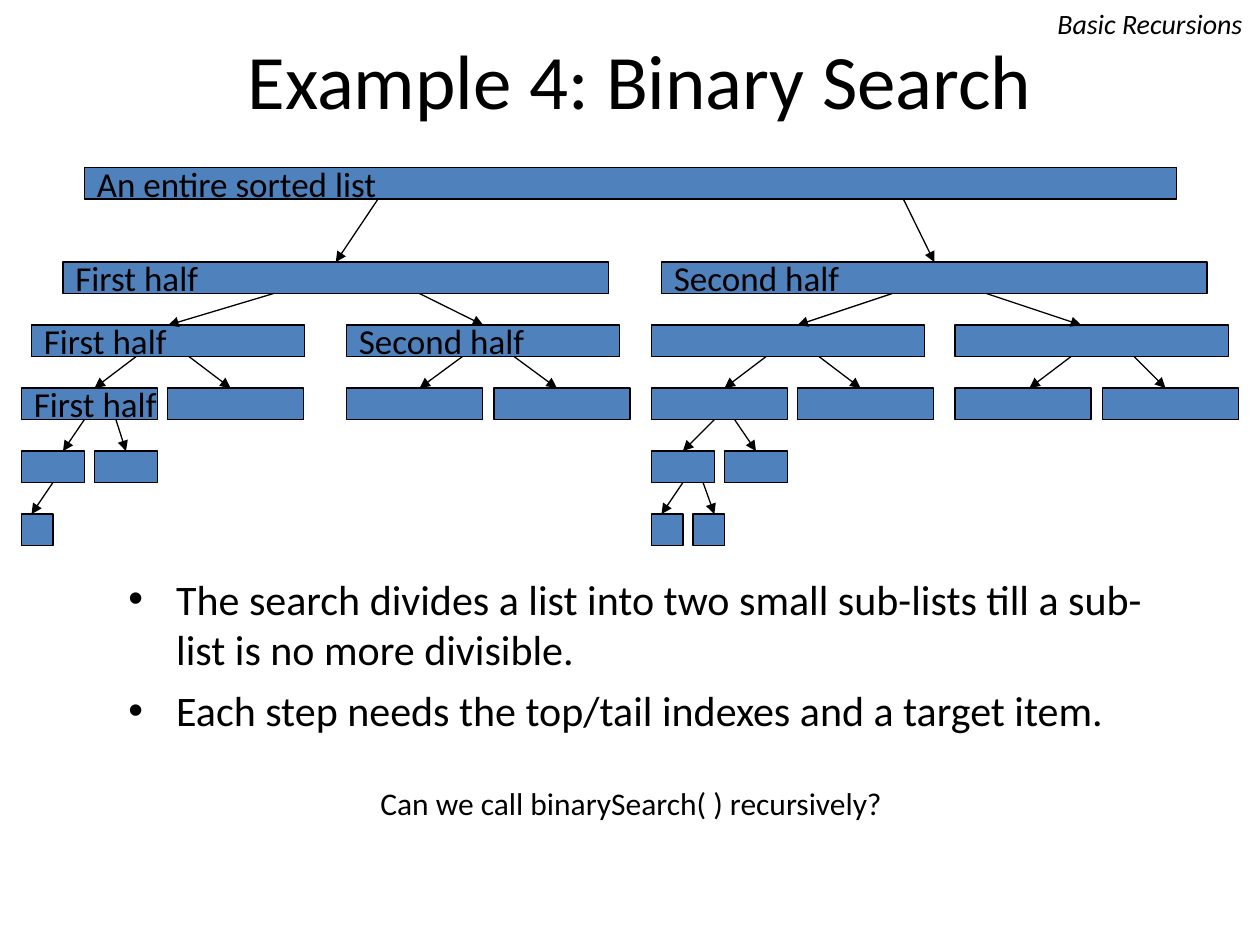
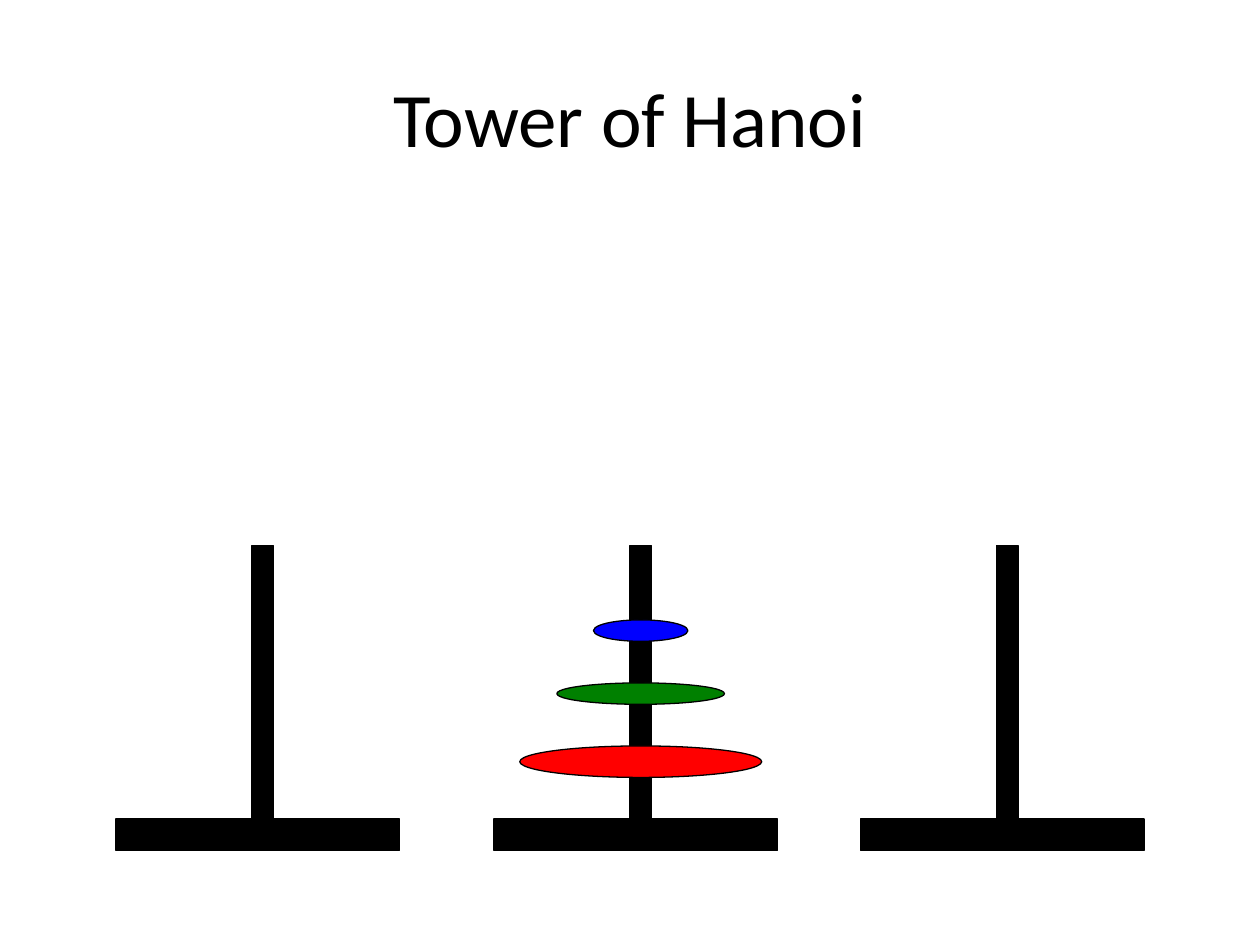
from dataclasses import dataclass
from typing import NamedTuple

from lxml import etree
from pptx import Presentation
from pptx.dml.color import RGBColor
from pptx.enum.shapes import MSO_CONNECTOR, MSO_SHAPE
from pptx.enum.text import MSO_ANCHOR, MSO_AUTO_SIZE, PP_ALIGN
from pptx.oxml.ns import qn
from pptx.util import Inches, Pt

RECTANGLE = MSO_SHAPE.RECTANGLE
OVAL = MSO_SHAPE.OVAL
STRAIGHT = MSO_CONNECTOR.STRAIGHT
LEFT, CENTER, RIGHT = PP_ALIGN.LEFT, PP_ALIGN.CENTER, PP_ALIGN.RIGHT
TOP, MIDDLE = MSO_ANCHOR.TOP, MSO_ANCHOR.MIDDLE
GROW = MSO_AUTO_SIZE.SHAPE_TO_FIT_TEXT
TOP_SIDE, BOTTOM_SIDE = 0, 2


@dataclass(frozen=True)
class Theme:
    """Colours, font and type sizes of the deck."""
    font: str = "Calibri"
    ink: str = "000000"
    bar: str = "4F81BD"
    disks: tuple = ("FF0000", "008000", "0000FF")
    title: int = 44
    body: int = 24
    label: int = 20
    question: int = 18
    topic: int = 16
    line: float = 0.75


THEME = Theme()


class Box(NamedTuple):
    """A rectangle on the page, in inches."""
    left: float
    top: float
    width: float
    height: float

    def inches(self):
        """Return the four measures as lengths."""
        return [Inches(value) for value in self]

    @property
    def middle(self):
        """Return the horizontal centre."""
        return self.left + self.width / 2


class Node(NamedTuple):
    """A sub-list: its left edge, its arrow's start and end, and its label."""
    left: float
    start: float = 0
    end: float = 0
    label: str = ""


BAR_HEIGHT = 0.25
JOIN_TOLERANCE = 0.02
SEARCH_LEVELS = [
    (0, 8.67, [Node(0.5, label="An entire sorted list")]),
    (0.75, 4.33, [Node(0.33, 2.83, 2.5, "First half"),
                  Node(5.08, 7, 7.25, "Second half")]),
    (1.25, 2.17, [Node(0.08, 2, 1.16, "First half"),
                  Node(2.58, 3.16, 3.66, "Second half"),
                  Node(5, 6.91, 6.16), Node(7.41, 7.66, 8.41)]),
    (1.75, 1.08, [Node(0, 0.91, 0.58, "First half"), Node(1.16, 1.33, 1.66),
                  Node(2.58, 3.5, 3.16), Node(3.75, 3.91, 4.25),
                  Node(5, 5.91, 5.58), Node(6.16, 6.33, 6.66),
                  Node(7.41, 8.33, 8), Node(8.58, 8.83, 9.08)]),
    (2.25, 0.5, [Node(0, 0.5, 0.33), Node(0.58, 0.75, 0.83),
                 Node(5, 5.5, 5.25), Node(5.58, 5.66, 5.83)]),
    (2.75, 0.25, [Node(0, 0.25, 0.08), Node(5, 5.25, 5.08),
                  Node(5.33, 5.41, 5.5)]),
]
SEARCH_POINTS = [
    "The search divides a list into two small sub-lists till a sub-list "
    "is no more divisible.",
    "Each step needs the top/tail indexes and a target item.",
]
PEG_LEFTS = [0, 3, 5.91]
POLE_OFFSET, POLE_WIDTH = 1.08, 0.17
BASE_WIDTH, BASE_HEIGHT = 2.25, 0.25
DISK_SIZES = [(1.92, 0.25), (1.33, 0.17), (0.75, 0.17)]
DISK_TOP, DISK_STEP = 1.59, 0.5


def style_text(paragraph, size, align=LEFT, italic=False):
    """Apply the deck's font to a paragraph and its runs."""
    paragraph.alignment = align
    for span in paragraph.runs:
        span.font.name = THEME.font
        span.font.size = Pt(size)
        span.font.italic = italic
        span.font.color.rgb = RGBColor.from_string(THEME.ink)


def add_text(page, box, text, size, align=LEFT, anchor=TOP, wrap=True,
             italic=False):
    """Add a text box whose paragraphs share one style."""
    shape = page.shapes.add_textbox(*box.inches())
    frame = shape.text_frame
    frame.word_wrap = wrap
    frame.vertical_anchor = anchor
    frame.text = text
    if not wrap:
        frame.auto_size = GROW
    for para in frame.paragraphs:
        style_text(para, size, align, italic)
    return shape


def add_title(page, box, text):
    """Add the centred slide title."""
    add_text(page, box, text, THEME.title, CENTER, MIDDLE)


def add_figure(shapes, kind, box, fill):
    """Add a filled shape with the deck's thin outline."""
    shape = shapes.add_shape(kind, *box.inches())
    shape.shadow.inherit = False
    shape.fill.solid()
    shape.fill.fore_color.rgb = RGBColor.from_string(fill)
    shape.line.color.rgb = RGBColor.from_string(THEME.ink)
    shape.line.width = Pt(THEME.line)
    return shape


def add_bar(page, box, label):
    """Add one sub-list bar with its optional label."""
    shape = add_figure(page.shapes, RECTANGLE, box, THEME.bar)
    if label:
        frame = shape.text_frame
        frame.text = label
        frame.word_wrap = False
        frame.vertical_anchor = MIDDLE
        style_text(frame.paragraphs[0], THEME.label)
    return shape


def add_arrow(page, start, end, parent, child):
    """Draw an arrow between two bars, joined where it meets a side's middle."""
    (parent_box, parent_bar), (child_box, child_bar) = parent, child
    parent_bottom = parent_box.top + parent_box.height
    arrow = page.shapes.add_connector(
        STRAIGHT, Inches(start), Inches(parent_bottom),
        Inches(end), Inches(child_box.top))
    if abs(start - parent_box.middle) < JOIN_TOLERANCE:
        arrow.begin_connect(parent_bar, BOTTOM_SIDE)
    if abs(end - child_box.middle) < JOIN_TOLERANCE:
        arrow.end_connect(child_bar, TOP_SIDE)
    arrow.line.color.rgb = RGBColor.from_string(THEME.ink)
    arrow.line.width = Pt(THEME.line)
    properties = arrow._element.spPr
    outline = properties.find(qn("a:ln"))
    etree.SubElement(outline, qn("a:tailEnd"), type="triangle")
    etree.SubElement(properties, qn("a:effectLst"))


def add_search_tree(page, area):
    """Draw the halving lists, then the arrows from each list to its halves."""
    rows = []
    for top, width, nodes in SEARCH_LEVELS:
        row = []
        for node in nodes:
            box = Box(area.left + node.left, area.top + top, width, BAR_HEIGHT)
            row.append((box, add_bar(page, box, node.label)))
        rows.append(row)
    for parents, children, level in zip(rows, rows[1:], SEARCH_LEVELS[1:]):
        for child, node in zip(children, level[2]):
            start, end = area.left + node.start, area.left + node.end
            parent = next(item for item in parents
                          if 0 <= start - item[0].left <= item[0].width)
            add_arrow(page, start, end, parent, child)


def add_bullets(page, box, points):
    """Add the bulleted list with hanging indents."""
    shape = add_text(page, box, "\n".join(points), THEME.body)
    for index, para in enumerate(shape.text_frame.paragraphs):
        properties = para._p.get_or_add_pPr()
        properties.set("marL", str(Inches(0.38)))
        properties.set("indent", str(-Inches(0.38)))
        etree.SubElement(properties, qn("a:buFont"), typeface="Arial")
        etree.SubElement(properties, qn("a:buChar"), char="•")
        para.space_before = Pt(6 if index else 0)


def add_peg(page, box):
    """Add one grouped peg: a base with a pole standing on it."""
    group = page.shapes.add_group_shape()
    pole_height = box.height - BASE_HEIGHT
    base = Box(box.left, box.top + pole_height, box.width, BASE_HEIGHT)
    pole = Box(box.left + POLE_OFFSET, box.top, POLE_WIDTH, pole_height)
    for part in (base, pole):
        add_figure(group.shapes, RECTANGLE, part, THEME.ink)


def add_disks(page, peg):
    """Stack the disks from the largest up, centred on the peg's pole."""
    middle = peg.left + POLE_OFFSET + POLE_WIDTH / 2
    for index, (width, height) in enumerate(DISK_SIZES):
        top = peg.top + DISK_TOP - index * DISK_STEP
        box = Box(middle - width / 2, top, width, height)
        add_figure(page.shapes, OVAL, box, THEME.disks[index])


def add_hanoi(page, area):
    """Draw the three pegs and put the disks on the middle one."""
    pegs = [Box(area.left + left, area.top, BASE_WIDTH, area.height)
            for left in PEG_LEFTS]
    for peg in pegs:
        add_peg(page, peg)
    add_disks(page, pegs[1])


def build_search_page(page):
    """Build the binary search slide."""
    add_title(page, Box(0.83, 0, 8.5, 1.25), "Example 4: Binary Search")
    add_bullets(page, Box(0.92, 4.5, 8.5, 1.5), SEARCH_POINTS)
    add_search_tree(page, Box(0.17, 1.33, 9.66, 3))
    add_text(page, Box(2.92, 6.17, 4.2, 0.4),
             "Can we call binarySearch( ) recursively?", THEME.question,
             wrap=False)
    add_text(page, Box(8.29, 0, 1.67, 0.37), "Basic Recursions", THEME.topic,
             RIGHT, wrap=False, italic=True)


def build_hanoi_page(page):
    """Build the Tower of Hanoi slide."""
    add_title(page, Box(0.5, 0.3, 9, 1.25), "Tower of Hanoi")
    add_hanoi(page, Box(0.92, 4.33, 8.16, 2.42))


def main():
    """Build and save the deck."""
    deck = Presentation()
    deck.slide_width, deck.slide_height = Inches(10), Inches(7.5)
    blank = deck.slide_layouts[6]
    for build_page in (build_search_page, build_hanoi_page):
        build_page(deck.slides.add_slide(blank))
    deck.save("out.pptx")


if __name__ == "__main__":
    main()
